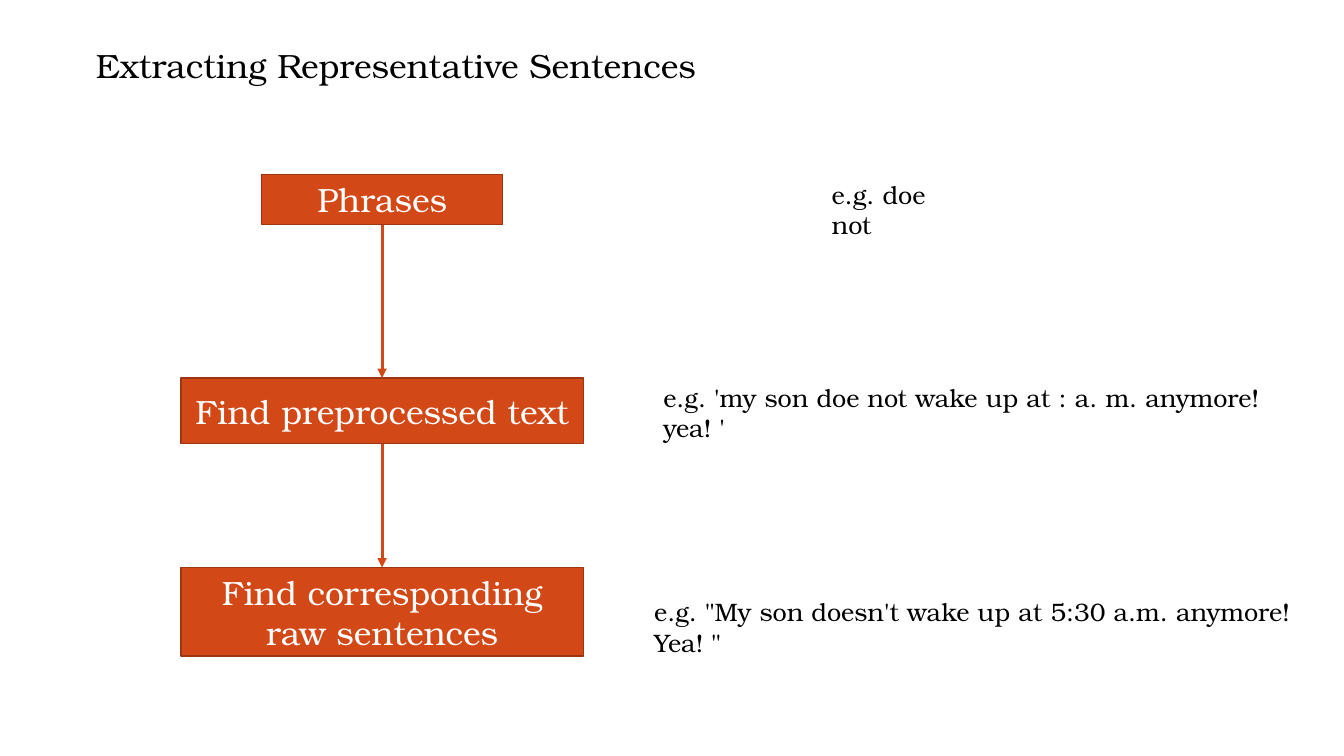
from dataclasses import dataclass
from itertools import pairwise

from lxml.etree import SubElement
from pptx import Presentation
from pptx.dml.color import RGBColor as RGB
from pptx.enum.shapes import MSO_CONNECTOR as Line, MSO_SHAPE as Shape
from pptx.enum.text import MSO_ANCHOR as Anchor, MSO_AUTO_SIZE as Fit, PP_ALIGN as Align
from pptx.oxml.ns import qn
from pptx.util import Inches, Pt


@dataclass(frozen=True)
class Theme:
    font: str = "TeX Gyre Bonum"
    ink: RGB = RGB(0, 0, 0)
    paper: RGB = RGB(255, 255, 255)
    fill: RGB = RGB(0xD3, 0x48, 0x17)
    edge: RGB = RGB(0x9C, 0x35, 0x11)
    large: Pt = Pt(24)
    small: Pt = Pt(18)


def assign(item, **values):
    for name, value in values.items():
        setattr(item, name, value)


def cells(*counts):
    """Turn counts of grid columns or rows, ten to the inch, into lengths."""
    return [Inches(count / 10) for count in counts]


class Board:
    def __init__(self, deck, theme):
        self.theme = theme
        self.slide = deck.slides.add_slide(deck.slide_layouts[5])
        self.shapes = self.slide.shapes

    def label(self, shape, text, size, color, align=Align.LEFT, anchor=Anchor.TOP, fit=Fit.NONE):
        frame = shape.text_frame
        assign(frame, text=text, word_wrap=True, auto_size=fit, vertical_anchor=anchor)
        para = frame.paragraphs[0]
        para.alignment = align
        font = para.runs[0].font
        assign(font, name=self.theme.font, size=size)
        font.color.rgb = color
        return para

    def title(self, text, left, top, width, height):
        shape = self.shapes.title
        spots = cells(left, top, width, height)
        assign(shape, **dict(zip(("left", "top", "width", "height"), spots)))
        para = self.label(shape, text, self.theme.large, self.theme.ink)
        assign(para, line_spacing=0.9, space_before=Pt(12))

    def step(self, text, mid, top, width, height):
        """Add a flow box centred on the column mid."""
        box = self.shapes.add_shape(Shape.RECTANGLE, *cells(mid - width / 2, top, width, height))
        box.shadow.inherit = False
        box.fill.solid()
        box.fill.fore_color.rgb = self.theme.fill
        box.line.color.rgb = self.theme.edge
        box.line.width = Pt(1)
        self.label(box, text, self.theme.large, self.theme.paper, Align.CENTER, Anchor.MIDDLE)
        return box

    def arrow(self, start, end):
        """Join the bottom of one box to the top of the next."""
        link = self.shapes.add_connector(Line.STRAIGHT, 0, 0, 0, 0)
        link.begin_connect(start, 2)
        link.end_connect(end, 0)
        link.line.color.rgb = self.theme.fill
        link.line.width = Pt(2.25)
        props = link._element.spPr
        SubElement(props.get_or_add_ln(), qn("a:tailEnd"), type="triangle")
        SubElement(props, qn("a:effectLst"))

    def note(self, text, left, top, width, height=4):
        box = self.shapes.add_textbox(*cells(left, top, width, height))
        self.label(box, text, self.theme.small, self.theme.ink, fit=Fit.SHAPE_TO_FIT_TEXT)


STEPS = [
    ("Phrases", 17.3, 23.9, 5),
    ("Find preprocessed text", 37.5, 39.9, 6.5),
    ("Find corresponding raw sentences", 56.3, 39.9, 8.8),
]
NOTES = [
    ("e.g. \"My son doesn't wake up at 5:30 a.m. anymore! Yea! \"", 63.9, 58.7, 69.4),
    ("e.g. 'my son doe not wake up at : a. m. anymore! yea! '", 64.8, 37.4, 64.5),
    ("e.g. doe not", 81.5, 17.3, 15.6),
]
FLOW_MID = 37.9


def main():
    deck = Presentation()
    assign(deck, slide_width=Inches(13.33), slide_height=Inches(7.5))
    board = Board(deck, Theme())
    board.title("Extracting Representative Sentences", 8.5, 4.4, 77, 6.5)
    boxes = [board.step(text, FLOW_MID, *place) for text, *place in STEPS]
    for start, end in pairwise(boxes):
        board.arrow(start, end)
    for note in NOTES:
        board.note(*note)
    deck.save("out.pptx")


if __name__ == "__main__":
    main()
